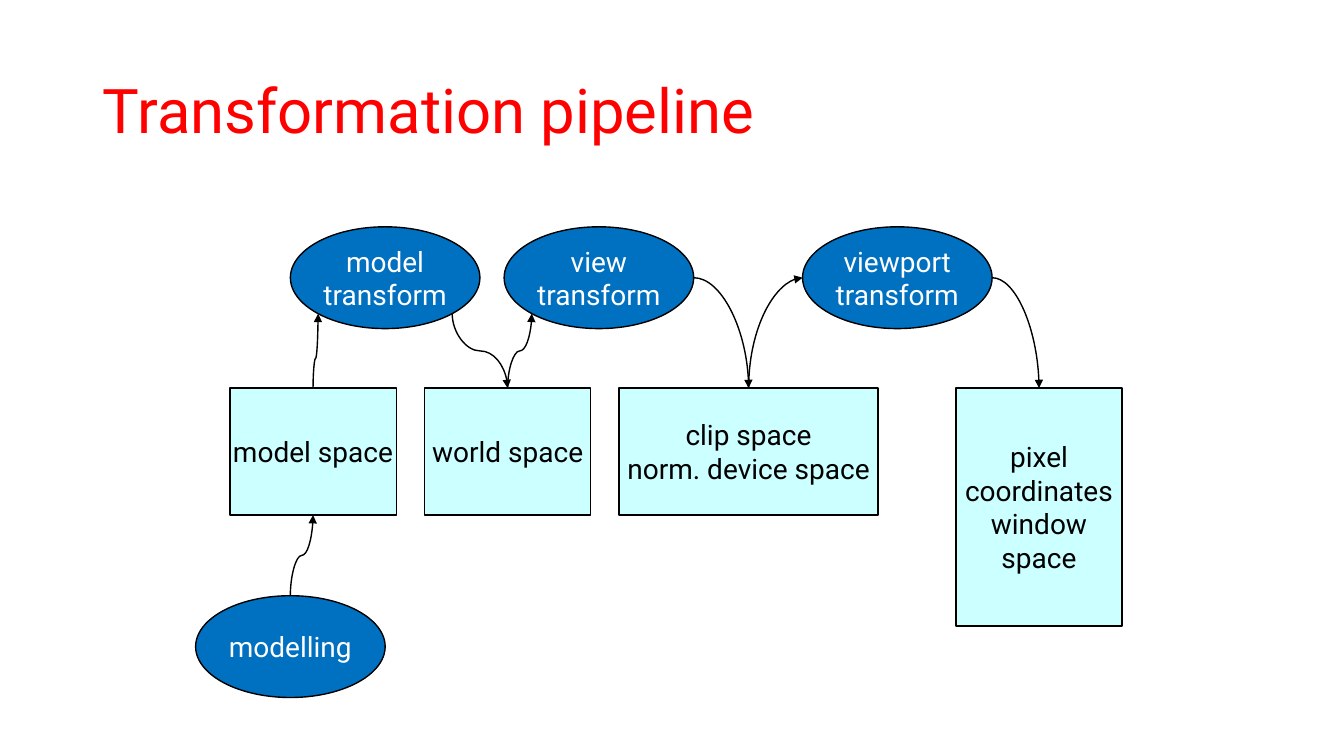
import pptx
import pptx.util
import pptx.dml.color
import pptx.enum.shapes
import pptx.enum.text
import pptx.oxml
import pptx.oxml.ns

PX = 9144
FONT = "Roboto"
KIND = pptx.enum.shapes.MSO_SHAPE
TOP, LEFT, BASE, RIGHT = (0.5, 0), (0, 0.5), (0.5, 1), (1, 0.5)
LOW_LEFT, LOW_RIGHT = (0.146, 0.854), (0.854, 0.854)


def px(num):
    return pptx.util.Emu(round(num * PX))


def tint(code):
    return pptx.dml.color.RGBColor.from_string(code)


def write(frame, text, size, code, align):
    frame.text = text
    frame.vertical_anchor = pptx.enum.text.MSO_ANCHOR.MIDDLE
    for para in frame.paragraphs:
        para.alignment = align
        for run in para.runs:
            run.font.name = FONT
            run.font.size = pptx.util.Pt(size)
            run.font.color.rgb = tint(code)


def head(slide, box):
    title = slide.shapes.title
    title.left, title.top, title.width, title.height = map(px, box)
    frame = title.text_frame
    write(frame, "Transformation pipeline", 44, "FF0000", pptx.enum.text.PP_ALIGN.LEFT)
    frame.auto_size = pptx.enum.text.MSO_AUTO_SIZE.NONE
    frame.paragraphs[0].line_spacing = 0.9


def node(slide, kind, box, text, fill, code):
    shape = slide.shapes.add_shape(kind, *map(px, box))
    shape.shadow.inherit = False
    shape.fill.solid()
    shape.fill.fore_color.rgb = tint(fill)
    shape.line.color.rgb = tint("000000")
    shape.line.width = pptx.util.Pt(1)
    write(shape.text_frame, text, 20, code, pptx.enum.text.PP_ALIGN.CENTER)
    shape.text_frame.word_wrap = False
    return shape


def step(slide, box, text):
    return node(slide, KIND.OVAL, box, text, "0070C0", "FFFFFF")


def space(slide, box, text):
    return node(slide, KIND.RECTANGLE, box, text, "CCFFFF", "000000")


def spot(shape, site):
    return shape.left + shape.width * site[0], shape.top + shape.height * site[1]


def curve(slide, start, end, bend, turn, adj=None):
    (x1, y1), (x2, y2) = spot(*start), spot(*end)
    if turn:
        mid_x, mid_y = (x1 + x2) / 2, (y1 + y2) / 2
        half_x, half_y = (x2 - x1) / 2, (y2 - y1) / 2
        x1, y1 = mid_x + half_y, mid_y - half_x
        x2, y2 = mid_x - half_y, mid_y + half_x
    link = slide.shapes.add_connector(
        pptx.enum.shapes.MSO_CONNECTOR.CURVE, *map(round, (x1, y1, x2, y2)))
    link.line.color.rgb = tint("000000")
    link.line.width = pptx.util.Pt(1)
    qn = pptx.oxml.ns.qn
    props = link._element.spPr
    if turn:
        props.find(qn("a:xfrm")).set("rot", str(270 * 60000))
    geom = props.find(qn("a:prstGeom"))
    geom.set("prst", f"curvedConnector{bend}")
    if adj:
        guide = pptx.oxml.parse_xml(
            f'<a:gd {pptx.oxml.ns.nsdecls("a")} name="adj1" fmla="val {adj}"/>')
        geom.find(qn("a:avLst")).append(guide)
    for tag, kind in (("tailEnd", ' type="triangle"'), ("effectLst", "")):
        item = pptx.oxml.parse_xml(f'<a:{tag} {pptx.oxml.ns.nsdecls("a")}{kind}/>')
        (props.find(qn("a:ln")) if kind else props).append(item)


def flow(slide, box):
    left, top, width, height = box
    oval_w, oval_h, rect_w, rect_h = 188, 101, 165, 126
    row = top + 160
    model = step(slide, (left + 94, top, oval_w, oval_h), "model\ntransform")
    local = space(slide, (left + 34, row, rect_w, rect_h), "model space")
    build = step(slide, (left, top + height - oval_h, oval_w, oval_h), "modelling")
    world = space(slide, (left + 227, row, rect_w, rect_h), "world space")
    view = step(slide, (left + 306, top, oval_w, oval_h), "view\ntransform")
    clip = space(slide, (left + 420, row, 257, rect_h), "clip space\nnorm. device space")
    port = step(slide, (left + 602, top, oval_w, oval_h), "viewport\ntransform")
    pixel = space(slide, (left + width - rect_w, row, rect_w, 236),
                  "pixel\ncoordinates\nwindow\nspace")
    curve(slide, (build, TOP), (local, BASE), 3, True)
    curve(slide, (local, TOP), (model, LOW_LEFT), 3, True, 39800)
    curve(slide, (model, LOW_RIGHT), (world, TOP), 3, True)
    curve(slide, (view, RIGHT), (clip, TOP), 2, False)
    curve(slide, (world, TOP), (view, LOW_LEFT), 3, True)
    curve(slide, (clip, TOP), (port, LEFT), 2, True)
    curve(slide, (port, RIGHT), (pixel, TOP), 2, False)


def main():
    deck = pptx.Presentation()
    deck.slide_width, deck.slide_height = px(1333), px(750)
    slide = deck.slides.add_slide(deck.slide_layouts[5])
    head(slide, (92, 40, 1150, 145))
    flow(slide, (194, 225, 919, 467))
    deck.save("out.pptx")


if __name__ == "__main__":
    main()
